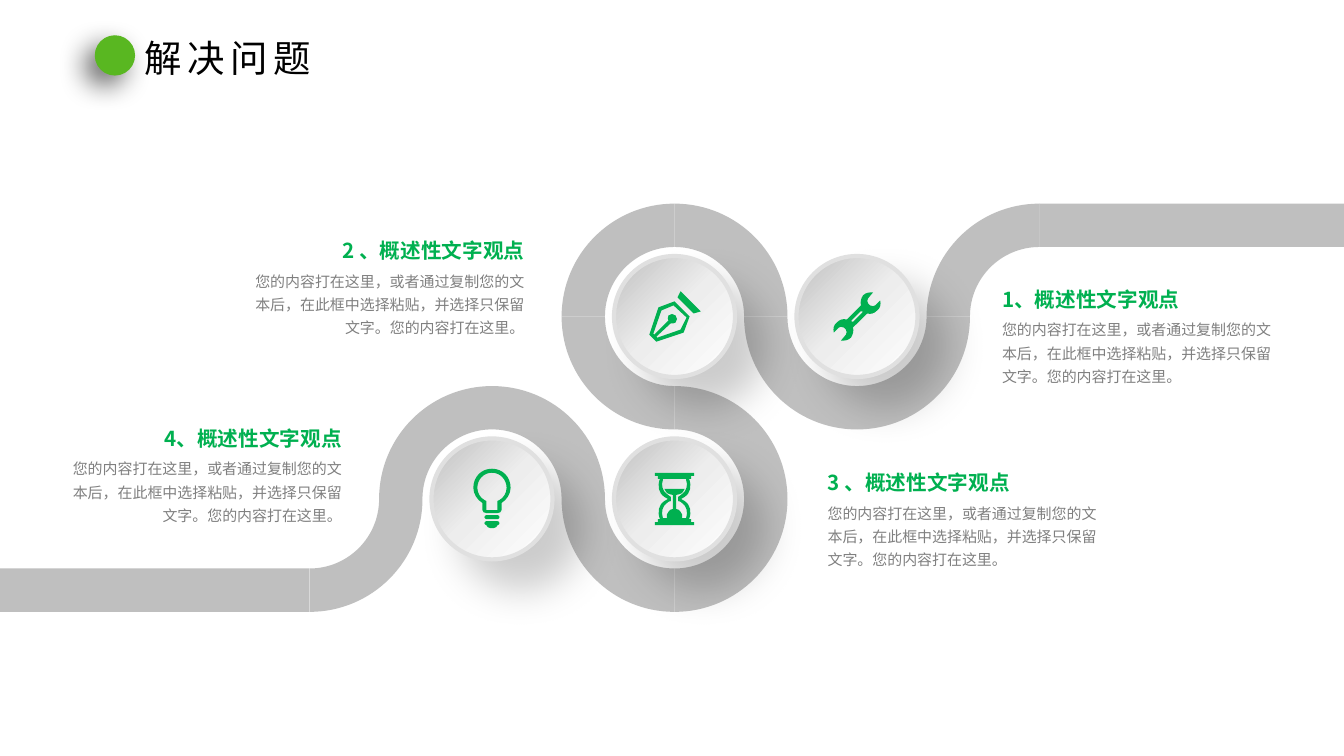
import math
import pptx
import pptx.dml.color
import pptx.enum.shapes
import pptx.enum.text
import pptx.oxml
import pptx.oxml.ns
import pptx.util

FONT, GREEN, ROAD = "Noto Sans CJK SC", "00B050", "BFBFBF"
WIDE, HIGH = 13.33, 7.5
LEFT, PITCH = 3.07, 1.81
ROWS = (3.14, 4.95)
INNER, OUTER, DISC = 0.69, 1.12, 1.2
BODY = "您的内容打在这里，或者通过复制您的文本后，在此框中选择粘贴，并选择只保留文字。您的内容打在这里。"
LABELS = [
    ("1、概述性文字观点", "left", 9.84, 2.67, 2.32),
    ("2 、概述性文字观点", "right", 5.3, 2.19, 2.57),
    ("3 、概述性文字观点", "left", 8.11, 4.49, 2.32),
    ("4、概述性文字观点", "right", 3.49, 4.05, 2.32),
]
BENDS = [
    (4, 0, (2,)), (3, 0, (0, 1)), (2, 0, (3, 2, 1)),
    (2, 1, (3, 0, 1)), (1, 1, (3, 2)), (0, 1, (0,)),
]
PEN = [
    ("plain", [(26, -5), (19, -3), (3, -19), (6, -25)]),
    ("plain", [(0, -15), (15, 0), (9, 16), (-18, 25), (-25, 18), (-16, -9)]),
    ("plain", [(12, 1), (-1, -11), (-13, -6), (-21, 17), (-20, 18), (-6, 4),
               (-7, 3, -7, 1, -6, -1), (-4, -3, -1, -3, 1, -1), (3, 1, 3, 4, 1, 6),
               (0, 7, -2, 7, -4, 7), (-18, 20), (-17, 21), (6, 13)]),
]
WRENCH = [
    ("turn", [(23, -16), (18, -11), (17, -10, 15, -10, 13, -11), (11, -13),
              (10, -14, 10, -17, 11, -18), (16, -24), (13, -24, 9, -24, 6, -21),
              (4, -18, 3, -14, 4, -11), (-10, 3), (-14, 2, -17, 3, -20, 6),
              (-23, 8, -24, 12, -23, 16)]),
    ("turn", [(5.5, -4), (-3.5, 5), (-4.5, 6, -6.5, 5, -5.5, 4)]),
]
GLASS = [
    ("mirror", [(19.5, -26), (19.5, -23), (16.5, -23), (16.5, -20), (14.5, -20),
                (17, -13, 16, -6, 10, -2), (9, -1, 8, -0.5, 6.5, 0),
                (8, 0.5, 9, 1, 10, 2), (16, 6, 17, 13, 14.5, 20), (16.5, 20),
                (16.5, 23), (19.5, 23), (19.5, 26)]),
    ("mirror", [(11.5, -20), (11.5, -19), (13.5, -14, 12, -8, 7.5, -5),
                (6.5, -4, 5, -3, 3.5, -2), (3.5, 2), (5, 2, 6.5, 3, 7.5, 4),
                (12, 7, 13.5, 13, 11.5, 19), (7.5, 19), (8.5, 17, 7.5, 14, 5.5, 12),
                (4.5, 11, 3.5, 10, 1.5, 10), (1.5, -4), (3.5, -4, 5.5, -5, 7.5, -6),
                (8.5, -7, 9.5, -9, 10, -10)]),
]
BULB = [
    ("mirror", [(0, -30), (10.5, -30, 18.5, -22, 18.5, -11), (18.5, -5, 14.5, 1, 9.5, 4),
                (9.5, 11), (9.5, 13, 7.5, 14, 5.5, 14)]),
    ("mirror", [(0, -26), (8.5, -26, 14.5, -19, 14.5, -11), (14.5, -6, 11.5, -1, 7.5, 1),
                (5.5, 2), (5.5, 11)]),
    ("mirror", [(5.5, 16), (6.5, 16, 7.5, 17, 7.5, 18), (7.5, 19, 6.5, 20, 5.5, 20)]),
    ("mirror", [(5.5, 22), (6.5, 22, 7.5, 23, 7.5, 24), (7.5, 25, 6.5, 26, 5.5, 26),
                (5.5, 27, 3.5, 29, 1.5, 29)]),
]
DISCS = [(3, 0, WRENCH), (2, 0, PEN), (2, 1, GLASS), (1, 1, BULB)]
STOPS = [(0, "C0C0C0"), (49, "EDEDED"), (100, "FFFFFF")]

deck = pptx.Presentation()
deck.slide_width, deck.slide_height = pptx.util.Inches(WIDE), pptx.util.Inches(HIGH)
slide = deck.slides.add_slide(deck.slide_layouts[6])
inch, qn = pptx.util.Inches, pptx.oxml.ns.qn
SPACE = pptx.oxml.ns.nsdecls("a")


def rgb(code):
    """Turn a hex string into a colour."""
    return pptx.dml.color.RGBColor.from_string(code)


def paint(shape, code):
    """Give a shape a flat fill with no line and no shadow."""
    shape.shadow.inherit = False
    shape.fill.solid()
    shape.fill.fore_color.rgb = rgb(code)
    shape.line.fill.background()
    return shape


def block(kind, left, top, wide, high, code):
    """Add a preset shape with a flat fill."""
    form = getattr(pptx.enum.shapes.MSO_SHAPE, kind)
    return paint(slide.shapes.add_shape(form, *map(inch, (left, top, wide, high))), code)


def shade(shape, alpha, blur, dist, angle):
    """Cast an outer shadow, with lengths in points."""
    props = shape.element.spPr
    props.replace(props.find(qn("a:effectLst")), pptx.oxml.parse_xml(
        f'<a:effectLst {SPACE}><a:outerShdw blurRad="{blur * 12700}" '
        f'dist="{dist * 12700}" dir="{angle * 60000}" algn="ctr" rotWithShape="0">'
        f'<a:srgbClr val="000000"><a:alpha val="{alpha * 1000}"/></a:srgbClr>'
        '</a:outerShdw></a:effectLst>'))


def blend(shape, angle):
    """Replace the flat fill by the gradient of the discs."""
    marks = "".join(f'<a:gs pos="{pos * 1000}"><a:srgbClr val="{code}"/></a:gs>'
                    for pos, code in STOPS)
    props = shape.element.spPr
    props.replace(props.find(qn("a:solidFill")), pptx.oxml.parse_xml(
        f'<a:gradFill {SPACE} rotWithShape="1"><a:gsLst>{marks}</a:gsLst>'
        f'<a:lin ang="{angle * 60000}" scaled="0"/></a:gradFill>'))


def pairs(step):
    """Split a step into its points."""
    return list(zip(step[::2], step[1::2]))


def back(steps):
    """Walk a chain of lines and curves the other way."""
    chain = [step[-2:] for step in steps]
    turned = [chain[-1]]
    for step, goal in zip(steps[:0:-1], chain[-2::-1]):
        turned.append(step[2:4] + step[:2] + goal if len(step) == 6 else goal)
    return turned


def fit(steps, mid, flip=0.01, scale=0.01):
    """Scale a chain and move it to a centre."""
    return [tuple(v for x, y in pairs(step) for v in (mid[0] + x * flip, mid[1] + y * scale))
            for step in steps]


def whole(mode, steps):
    """Complete a chain by its symmetry."""
    if mode == "mirror":
        return steps + fit(back(steps), (0, 0), -1, 1)
    return steps + fit(steps, (0, 0), -1, -1) if mode == "turn" else steps


def outline(loops, code):
    """Draw closed loops of lines and curves, in inches, as one shape."""
    dots = [[(inch(x), inch(y)) for step in loop for x, y in pairs(step)] for loop in loops]
    pen = slide.shapes.build_freeform(*dots[0][0], scale=1.0)
    for loop in dots:
        if loop is not dots[0]:
            pen.move_to(*loop[0])
        pen.add_line_segments(loop[1:], close=True)
    shape = paint(pen.convert_to_shape(), code)
    lines = shape.element.iter(qn("a:lnTo"))
    for lead, *rest in [[next(found) for _ in pairs(step)]
                        for found in [iter(list(lines))] for loop in loops for step in loop[1:]]:
        if rest:
            lead.addprevious(pptx.oxml.parse_xml(f'<a:cubicBezTo {SPACE}/>'))
            curve = lead.getprevious()
            for line in (lead, *rest):
                curve.append(line[0])
                line.getparent().remove(line)


def arc(mid, radius, turn):
    """Make a quarter circle from one curve."""
    bow = 0.5523
    cos, sin = [(1, 0), (0, 1), (-1, 0), (0, -1)][turn]
    steps = [(cos, sin), (cos - bow * sin, sin + bow * cos, bow * cos - sin, bow * sin + cos,
                          -sin, cos)]
    return fit(steps, mid, radius, radius)


def write(text, left, top, wide, high, size, code, side="left", space=1.0, bold=False,
          wrap=True, gap=0):
    """Add a text box with one formatted paragraph."""
    box = slide.shapes.add_textbox(*map(inch, (left, top, wide, high)))
    frame = box.text_frame
    frame.word_wrap = wrap
    frame.auto_size = pptx.enum.text.MSO_AUTO_SIZE.SHAPE_TO_FIT_TEXT
    para = frame.paragraphs[0]
    para.alignment = getattr(pptx.enum.text.PP_ALIGN, side.upper())
    para.line_spacing = space
    run = para.add_run()
    run.text = text
    run.font.name, run.font.size, run.font.bold = FONT, pptx.util.Pt(size), bold
    run.font.color.rgb = rgb(code)
    props = para._p.find(qn("a:r")).find(qn("a:rPr"))
    props.find(qn("a:latin")).addnext(pptx.oxml.parse_xml(f'<a:ea {SPACE} typeface="{FONT}"/>'))
    if gap:
        props.set("spc", str(gap * 100))


def spot(col, row):
    """Find the centre of a grid cell."""
    return LEFT + col * PITCH, ROWS[row]


shade(block("OVAL", 0.94, 0.35, 0.4, 0.4, "59B721"), 60, 20, 10, 135)
write("解决问题", 1.33, 0.3, 1.92, 0.55, 26.7, "000000", wrap=False, gap=4)
for col, row, turns in BENDS:
    for turn in turns:
        outline([arc(spot(col, row), OUTER, turn) + back(arc(spot(col, row), INNER, turn))], ROAD)
band, end = OUTER - INNER, spot(4, 0)[0]
block("RECTANGLE", end, ROWS[0] - OUTER, WIDE - end, band, ROAD)
block("RECTANGLE", 0, ROWS[1] + INNER, LEFT, band, ROAD)
for head, side, edge, top, wide in LABELS:
    shift = int(side == "right")
    write(head, edge - shift * wide, top, wide, 0.42, 14.7, GREEN, side=side, space=1.5, bold=True)
    write(BODY, edge - shift * 2.89, top + 0.41, 2.89, 0.79, 10.7, "808080", side=side, space=1.3)
for col, row, icon in DISCS:
    x, y = spot(col, row)
    disc = block("OVAL", x - DISC / 2, y - DISC / 2, DISC, DISC, "FFFFFF")
    blend(disc, 45)
    disc.line.color.rgb, disc.line.width = rgb("E0E0E0"), pptx.util.Pt(3)
    shade(disc, 20, 29, 29, 45)
    outline([fit(whole(*loop), (x, y)) for loop in icon], GREEN)
deck.save("out.pptx")
